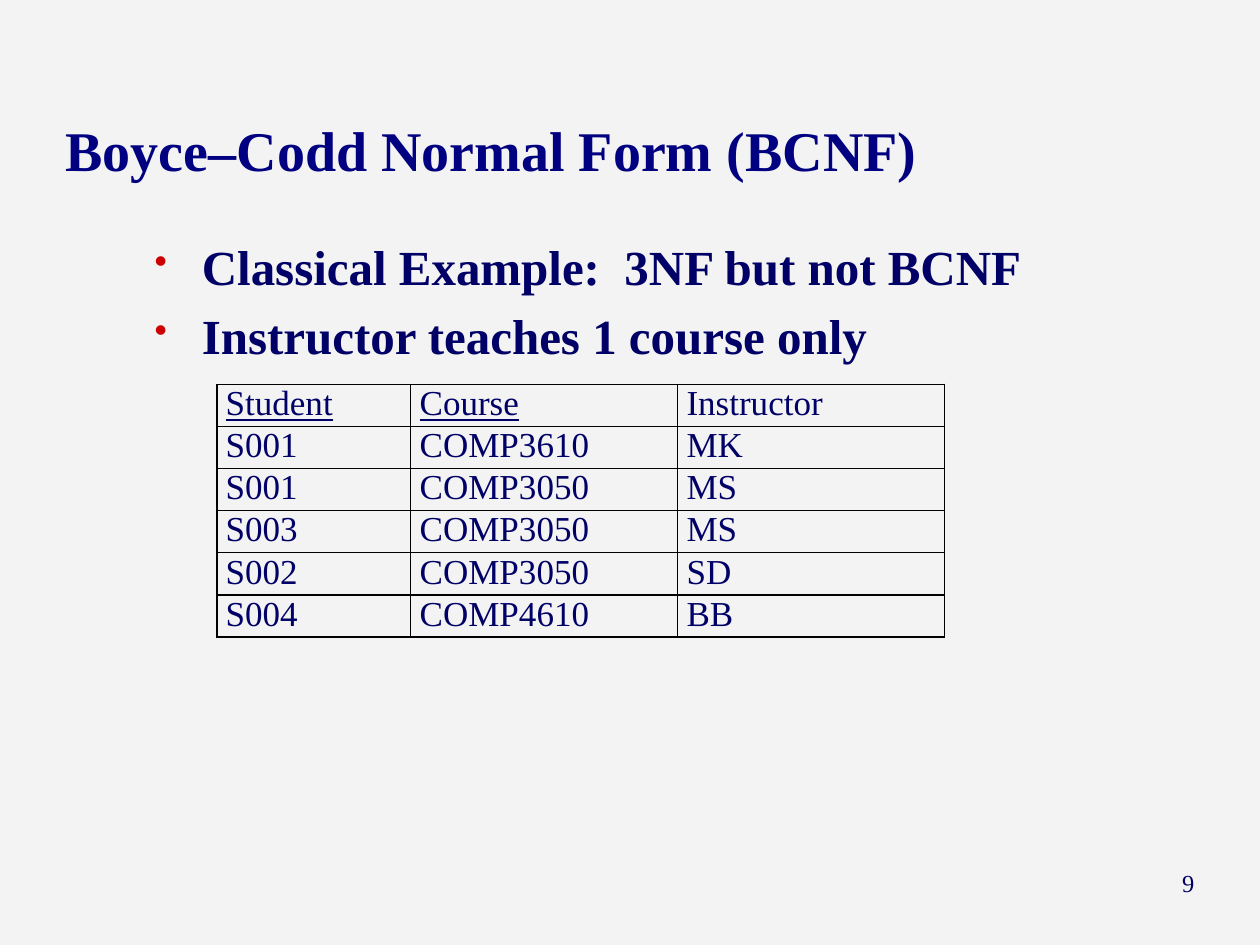
from dataclasses import dataclass

from lxml.etree import SubElement
from pptx import Presentation
from pptx.dml.color import RGBColor
from pptx.enum.text import MSO_ANCHOR, MSO_AUTO_SIZE, PP_ALIGN
from pptx.oxml.ns import qn
from pptx.util import Cm, Pt


@dataclass(frozen=True)
class Theme:
    font: str = "Times New Roman"
    background: str = "F3F3F3"
    title: str = "000080"
    text: str = "000066"
    bullet: str = "CC0000"
    border: str = "000000"
    title_size: int = 32
    body_size: int = 28
    table_size: int = 20
    number_size: int = 14


class SlideBuilder:
    def __init__(self, slide, theme):
        self.slide = slide
        self.theme = theme
        fill = slide.background.fill
        fill.solid()
        fill.fore_color.rgb = RGBColor.from_string(theme.background)

    def style(self, paragraph, size, color, bold=False, underline=False):
        font = paragraph.font
        font.name = self.theme.font
        font.size = Pt(size)
        font.bold = bold
        font.underline = underline
        font.color.rgb = RGBColor.from_string(color)

    def title(self, text, left, top, width, height):
        shape = self.slide.shapes.title
        shape.left, shape.top, shape.width, shape.height = left, top, width, height
        frame = shape.text_frame
        frame.text = text
        frame.word_wrap = True
        frame.auto_size = MSO_AUTO_SIZE.NONE
        frame.vertical_anchor = MSO_ANCHOR.BOTTOM
        paragraph = frame.paragraphs[0]
        paragraph.alignment = PP_ALIGN.LEFT
        self.style(paragraph, self.theme.title_size, self.theme.title, bold=True)

    def text_frame(self, text, left, top, width, height):
        frame = self.slide.shapes.add_textbox(left, top, width, height).text_frame
        frame.text = text
        frame.word_wrap = True
        return frame

    def bullets(self, lines, left, top, width, height):
        frame = self.text_frame("\n".join(lines), left, top, width, height)
        for paragraph in frame.paragraphs:
            self.style(paragraph, self.theme.body_size, self.theme.text, bold=True)
            self.bullet(paragraph)

    def bullet(self, paragraph):
        properties = paragraph._p.get_or_add_pPr()
        properties.set("marL", str(Cm(0.95)))
        properties.set("indent", str(Cm(-0.95)))
        # Spacing and bullet marks come before the default run properties
        run_defaults = properties.find(qn("a:defRPr"))
        space = SubElement(properties, qn("a:spcBef"))
        SubElement(space, qn("a:spcPct"), val="20000")
        color = SubElement(properties, qn("a:buClr"))
        SubElement(color, qn("a:srgbClr"), val=self.theme.bullet)
        SubElement(properties, qn("a:buSzPct"), val="75000")
        SubElement(properties, qn("a:buChar"), char="•")
        if run_defaults is not None:
            properties.append(run_defaults)

    def table(self, rows, key_columns, left, top, widths, row_height):
        table = self.slide.shapes.add_table(
            len(rows), len(widths), left, top, sum(widths), row_height * len(rows)
        ).table
        table.first_row = False
        table.horz_banding = False
        for column, width in zip(table.columns, widths):
            column.width = width
        for row_index, row in enumerate(rows):
            table.rows[row_index].height = row_height
            for column_index, text in enumerate(row):
                is_key = row_index == 0 and column_index in key_columns
                self.cell(table.cell(row_index, column_index), text, is_key)

    def cell(self, cell, text, underline):
        cell.text = text
        cell.margin_left = cell.margin_right = Cm(0.18)
        cell.margin_top = cell.margin_bottom = 0
        self.style(cell.text_frame.paragraphs[0], self.theme.table_size,
                   self.theme.text, underline=underline)
        properties = cell._tc.get_or_add_tcPr()
        for side in ("lnL", "lnR", "lnT", "lnB"):
            line = SubElement(properties, qn(f"a:{side}"), w=str(Pt(1)))
            fill = SubElement(line, qn("a:solidFill"))
            SubElement(fill, qn("a:srgbClr"), val=self.theme.border)
        cell.fill.background()

    def slide_number(self, text, left, top, width, height):
        frame = self.text_frame(text, left, top, width, height)
        frame.vertical_anchor = MSO_ANCHOR.MIDDLE
        paragraph = frame.paragraphs[0]
        paragraph.alignment = PP_ALIGN.RIGHT
        self.style(paragraph, self.theme.number_size, self.theme.text)


presentation = Presentation()
presentation.slide_width = Cm(25.4)
presentation.slide_height = Cm(19.05)
title_only = presentation.slide_layouts[5]
builder = SlideBuilder(presentation.slides.add_slide(title_only), Theme())

# Title
builder.title("Boyce–Codd Normal Form (BCNF)", Cm(1.07), Cm(0.74), Cm(21.59), Cm(3.07))

# Statements
builder.bullets(
    ["Classical Example:  3NF but not BCNF", "Instructor teaches 1 course only"],
    Cm(2.87), Cm(4.65), Cm(21.46), Cm(3.89),
)

# Example relation, with its key underlined
relation = [
    ("Student", "Course", "Instructor"),
    ("S001", "COMP3610", "MK"),
    ("S001", "COMP3050", "MS"),
    ("S003", "COMP3050", "MS"),
    ("S002", "COMP3050", "SD"),
    ("S004", "COMP4610", "BB"),
]
builder.table(relation, {0, 1}, Cm(4.37), Cm(7.75), [Cm(3.91), Cm(5.38), Cm(5.38)], Cm(0.76))

# Slide number
builder.slide_number("9", Cm(19.05), Cm(17.15), Cm(5.28), Cm(1.27))

presentation.save("out.pptx")
